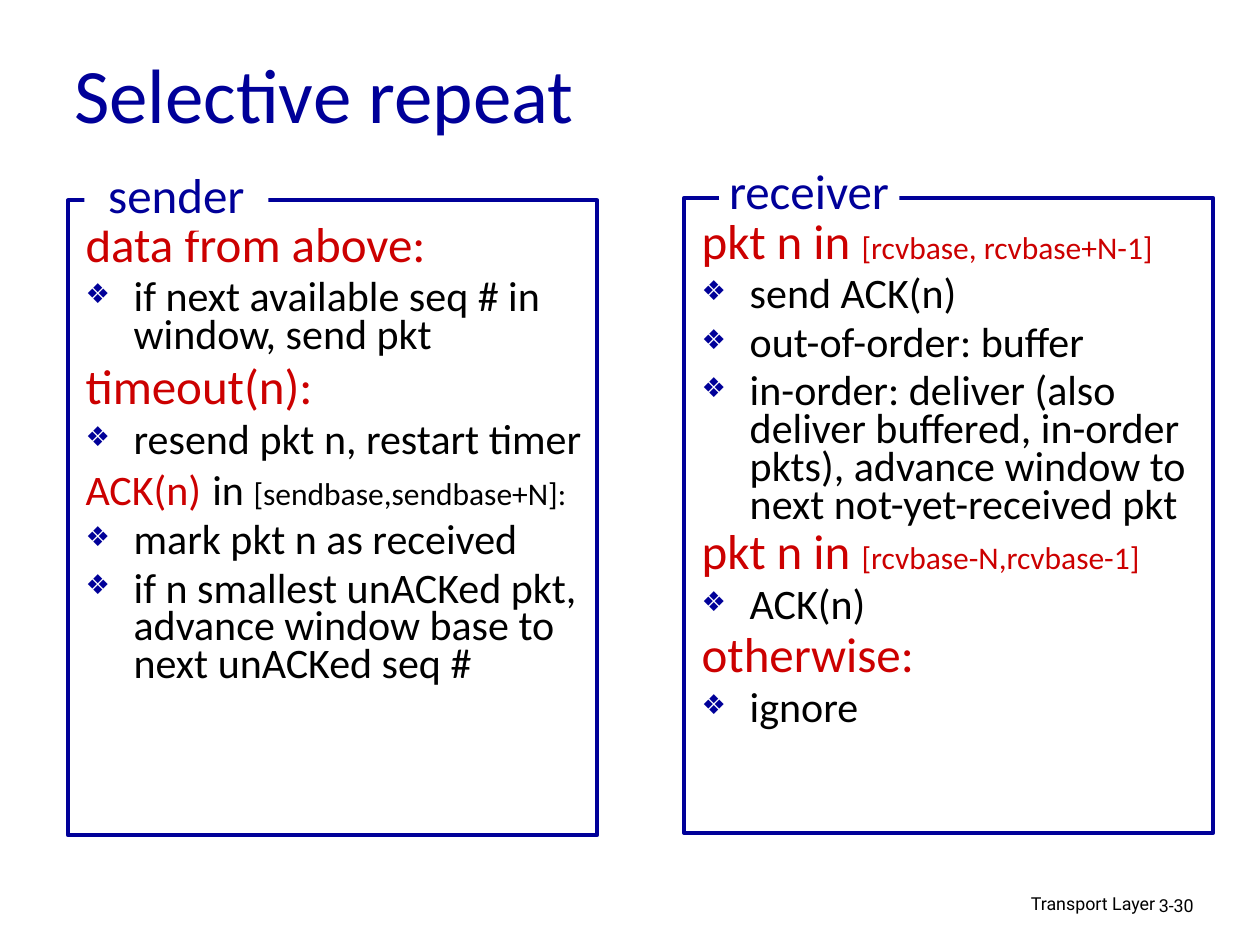
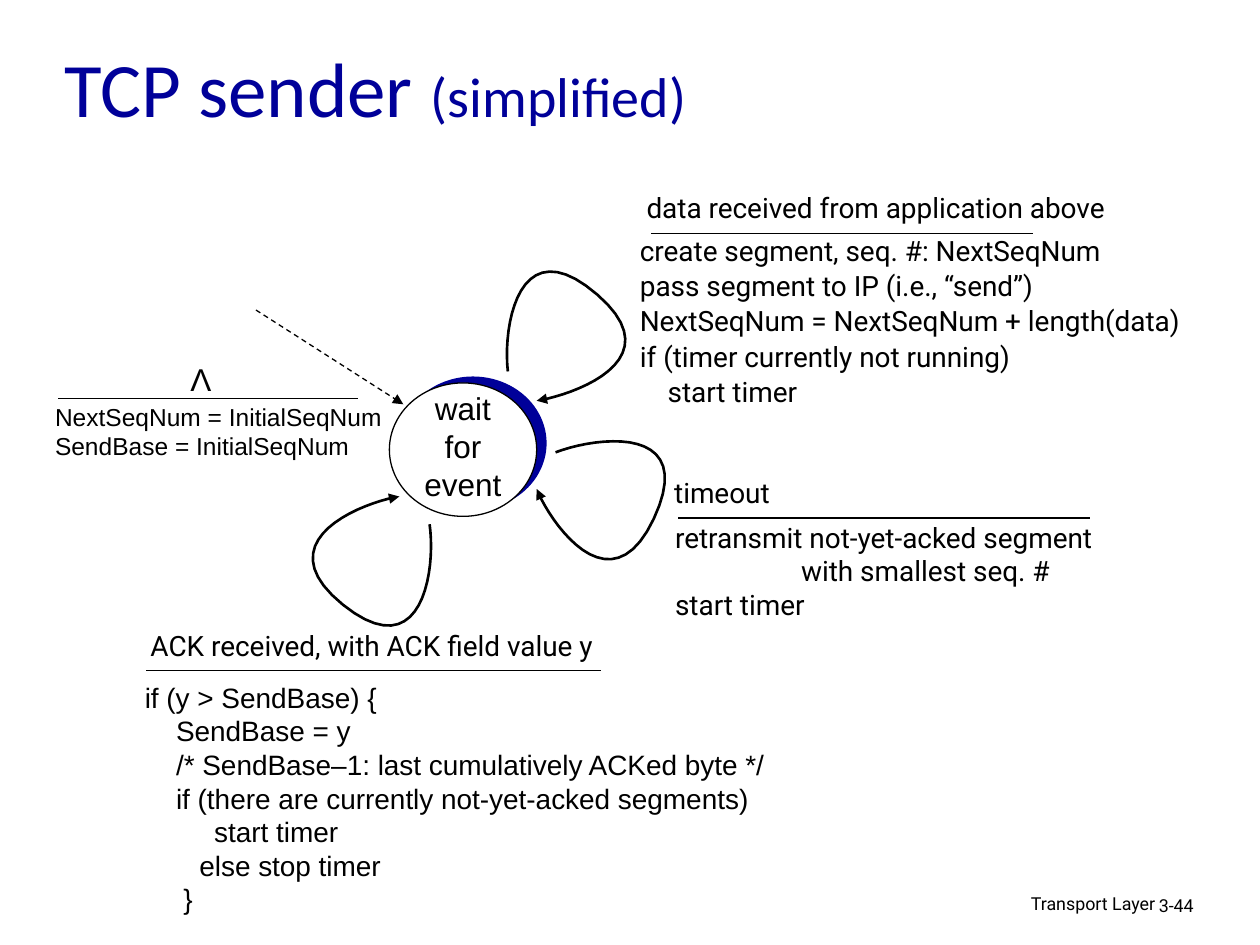
"""Build two transport-layer slides: selective repeat and the TCP sender state machine."""
from dataclasses import dataclass

from lxml import etree
from pptx import Presentation
from pptx.dml.color import RGBColor
from pptx.enum.dml import MSO_LINE
from pptx.enum.shapes import MSO_CONNECTOR, MSO_SHAPE
from pptx.enum.text import MSO_ANCHOR, MSO_AUTO_SIZE, PP_ALIGN
from pptx.oxml.ns import qn
from pptx.util import Cm, Pt

LEFT, CENTER, RIGHT = PP_ALIGN.LEFT, PP_ALIGN.CENTER, PP_ALIGN.RIGHT
MIDDLE = MSO_ANCHOR.MIDDLE
FIXED = MSO_AUTO_SIZE.NONE
RECTANGLE, OVAL = MSO_SHAPE.RECTANGLE, MSO_SHAPE.OVAL
STRAIGHT = MSO_CONNECTOR.STRAIGHT
DASH = MSO_LINE.DASH


@dataclass(frozen=True)
class Theme:
    blue: RGBColor = RGBColor(0x00, 0x00, 0x99)
    red: RGBColor = RGBColor(0xCC, 0x00, 0x00)
    black: RGBColor = RGBColor(0x00, 0x00, 0x00)
    white: RGBColor = RGBColor(0xFF, 0xFF, 0xFF)
    heading_font: str = "Calibri"
    label_font: str = "Roboto"
    code_font: str = "Arial"
    title: float = 44
    subtitle: float = 32
    heading: float = 28
    bullet: float = 24
    range: float = 18
    state: float = 18
    action: float = 16
    setup: float = 14
    footer: float = 10.2


theme = Theme()


def write(box, rows, font, size, color=theme.black, align=LEFT, spacing=1.0):
    """Fill a text frame with (indent, spans) rows; a span is (text, size, colour)."""
    frame = box.text_frame
    frame.word_wrap = True
    frame.auto_size = FIXED
    for number, (indent, spans) in enumerate(rows):
        para = frame.paragraphs[0] if number == 0 else frame.add_paragraph()
        para.alignment = align
        para.line_spacing = spacing
        para.font.name = font
        para.font.size = Pt(size)
        para.font.color.rgb = color
        if indent:
            para._p.get_or_add_pPr().set("marL", str(Cm(indent)))
        if isinstance(spans, str):
            spans = [(spans, size, color)]
        for text, span_size, span_color in spans:
            span = para.add_run()
            span.text = text
            if span_size != size:
                span.font.size = Pt(span_size)
            if span_color != color:
                span.font.color.rgb = span_color


def stroke(shape, color, width, dash=None, arrow=False):
    """Draw a shape's line without shadow, with an optional arrowhead at its end."""
    shape.line.color.rgb = color
    shape.line.width = Pt(width)
    if dash:
        shape.line.dash_style = dash
    properties = shape.element.spPr
    if arrow:
        etree.SubElement(properties.find(qn("a:ln")), qn("a:tailEnd"), type="triangle")
    etree.SubElement(properties, qn("a:effectLst"))


deck = Presentation()
deck.slide_width, deck.slide_height = Cm(25.4), Cm(19.05)
repeat_page = deck.slides.add_slide(deck.slide_layouts[3])
sender_page = deck.slides.add_slide(deck.slide_layouts[5])

pages = [
    (repeat_page, (1.24, 0.69, 21.59, 2.34), "3-30", "Selective repeat"),
    (sender_page, (1.04, 0.51, 21.49, 2.49), "3-44",
     [("TCP sender ", theme.title, theme.blue), ("(simplified)", theme.subtitle, theme.blue)]),
]
for page, place, page_number, title_spans in pages:
    title = page.shapes.title
    title.left, title.top, title.width, title.height = map(Cm, place)
    title.text_frame.vertical_anchor = MIDDLE
    write(title, [(0, title_spans)], theme.heading_font, theme.title, theme.blue)
    footer = page.shapes.add_textbox(Cm(15.49), Cm(17.91), Cm(8.05), Cm(0.79))
    write(footer, [(0, "Transport Layer")], theme.label_font, theme.footer, align=RIGHT, spacing=0.9)
    number_box = page.shapes.add_textbox(Cm(23.11), Cm(17.96), Cm(1.88), Cm(0.76))
    write(number_box, [(0, page_number)], theme.label_font, theme.footer, spacing=0.9)

sender_rules = [
    ("data from above:", 7),
    "if next available seq # in window, send pkt",
    ("timeout(n):", 7),
    "resend pkt n, restart timer",
    ([("ACK(n)", theme.bullet, theme.red), (" ", theme.heading, theme.red),
      ("in ", theme.bullet, theme.black),
      ("[sendbase,sendbase+N]:", theme.range, theme.black)], 4.5),
    "mark pkt n as received",
    "if n smallest unACKed pkt, advance window base to next unACKed seq #",
]
receiver_rules = [
    ([("pkt n in ", theme.heading, theme.red),
      ("[rcvbase, rcvbase+N-1]", theme.range, theme.red)], 4.5),
    "send ACK(n)",
    "out-of-order: buffer",
    "in-order: deliver (also deliver buffered, in-order pkts), "
    "advance window to next not-yet-received pkt",
    ([("pkt n in ", theme.heading, theme.red),
      ("[rcvbase-N,rcvbase-1]", theme.range, theme.red)], 4.5),
    "ACK(n)",
    ("otherwise:", 6),
    "ignore",
]
panels = [
    (1, "sender", sender_rules, (1.47, 4.45), (1.37, 4.04),
     (1.7, 3.2, 3.71, 1.45), (1.7, 3.2, 3.71, 1.45)),
    (2, "receiver", receiver_rules, (13.89, 4.39), (13.79, 3.99),
     (14.5, 3.61, 3.63, 0.79), (14.2, 3.12, 4.22, 1.45)),
]
for index, name, rules, body_corner, frame_corner, gap_place, label_place in panels:
    body = repeat_page.placeholders[index]
    body.left, body.top = map(Cm, body_corner)
    body.width, body.height = Cm(10.59), Cm(12.9)
    rows = []
    for rule in rules:
        if isinstance(rule, str):
            spans = [(rule, theme.bullet, theme.black)]
        elif isinstance(rule[0], str):
            spans = [(rule[0], theme.heading, theme.red)]
        else:
            spans = rule[0]
        rows.append((0.97, spans))
    write(body, rows, theme.heading_font, theme.bullet, spacing=0.75)
    for para, rule in zip(body.text_frame.paragraphs, rules):
        is_bullet = isinstance(rule, str)
        para.space_before = Pt(6 if is_bullet else rule[1])
        properties = para._p.get_or_add_pPr()
        properties.set("indent", str(-Cm(0.97)))
        defaults = properties.find(qn("a:defRPr"))
        if is_bullet:
            bullet_color = etree.Element(qn("a:buClr"))
            etree.SubElement(bullet_color, qn("a:srgbClr"), val=str(theme.blue))
            defaults.addprevious(bullet_color)
            defaults.addprevious(etree.Element(qn("a:buSzPct"), val="65000"))
            defaults.addprevious(etree.Element(qn("a:buChar"), char="❖"))
        else:
            defaults.addprevious(etree.Element(qn("a:buNone")))

    border = repeat_page.shapes.add_shape(RECTANGLE, *map(Cm, frame_corner), Cm(10.67), Cm(12.8))
    border.fill.background()
    stroke(border, theme.blue, 2.25)
    gap = repeat_page.shapes.add_shape(RECTANGLE, *map(Cm, gap_place))
    gap.shadow.inherit = False
    gap.fill.solid()
    gap.fill.fore_color.rgb = theme.white
    gap.line.fill.background()
    label = repeat_page.shapes.add_textbox(*map(Cm, label_place))
    write(label, [(0, name)], theme.heading_font, theme.heading, theme.blue, CENTER)

state_shade = sender_page.shapes.add_shape(OVAL, Cm(8.05), Cm(7.59), Cm(2.97), Cm(2.69))
state_shade.shadow.inherit = False
state_shade.fill.solid()
state_shade.fill.fore_color.rgb = theme.blue
state_shade.line.fill.background()
state = sender_page.shapes.add_shape(OVAL, Cm(7.85), Cm(7.72), Cm(2.97), Cm(2.69))
state.fill.solid()
state.fill.fore_color.rgb = theme.white
stroke(state, theme.black, 0.75)
state.text_frame.vertical_anchor = MIDDLE
state.text_frame.margin_top = 0
state.text_frame.margin_bottom = Cm(0.15)
write(state, [(0, word) for word in ("wait", "for", "event")],
      theme.code_font, theme.state, align=CENTER)

start_arrow = sender_page.shapes.add_connector(STRAIGHT, Cm(5.16), Cm(6.25), Cm(8.13), Cm(8.15))
stroke(start_arrow, theme.black, 0.75, DASH, arrow=True)
for left, right, height in [(1.17, 7.21, 8.03), (13.13, 20.83, 4.7),
                            (13.67, 21.97, 10.44), (2.95, 12.12, 13.51)]:
    divider = sender_page.shapes.add_connector(STRAIGHT, Cm(left), Cm(height), Cm(right), Cm(height))
    stroke(divider, theme.black, 0.75)

event_labels = [
    ((12.5, 3.71, 10.31, 0.94), "data received from application above"),
    ((13.26, 9.47, 2.59, 0.94), "timeout"),
    ((2.48, 12.55, 10.03, 0.94), "ACK received, with ACK field value y"),
]
for place, event in event_labels:
    box = sender_page.shapes.add_textbox(*map(Cm, place))
    write(box, [(0, event)], theme.label_font, theme.action, align=CENTER)

no_event = sender_page.shapes.add_textbox(Cm(3.45), Cm(7.14), Cm(1.2), Cm(1.02))
write(no_event, [(0, "Λ")], theme.code_font, theme.state, align=CENTER)

action_blocks = [
    ((0.86, 7.98, 8, 1.45), theme.code_font, theme.setup, 1.0, [
        (0, "NextSeqNum = InitialSeqNum"),
        (0, "SendBase = InitialSeqNum")]),
    ((12.65, 4.55, 12.14, 4.2), theme.label_font, theme.action, 1.05, [
        (0, "create segment, seq. #: NextSeqNum"),
        (0, "pass segment to IP (i.e., “send”)"),
        (0, "NextSeqNum = NextSeqNum + length(data)"),
        (0, "if (timer currently not running)"),
        (0.56, "start timer")]),
    ((13.36, 10.36, 9.14, 2.97), theme.label_font, theme.action, 1.0, [
        (0, "retransmit not-yet-acked segment"),
        (2.54, "with smallest seq. #"),
        (0, "start timer")]),
    ((2.67, 13.59, 14, 5), theme.code_font, theme.action, 1.0, [
        (0, "if (y > SendBase) {"),
        (0.63, "SendBase = y"),
        (0.63, "/* SendBase–1: last cumulatively ACKed byte */"),
        (0.63, "if (there are currently not-yet-acked segments)"),
        (1.4, "start timer"),
        (1.1, "else stop timer"),
        (0.78, "}")]),
]
for place, font, size, spacing, rows in action_blocks:
    box = sender_page.shapes.add_textbox(*map(Cm, place))
    write(box, rows, font, size, spacing=spacing)

event_loops = [
    [(10.24, 7.49), (10.13, 6.58), (10.46, 4.57), (12.04, 5.94),
     (13.61, 7.29), (11.48, 7.98), (10.82, 8.08)],
    [(11.2, 9.12), (12.07, 8.79), (14.07, 8.56), (13.18, 10.46),
     (12.29, 12.34), (11.05, 10.46), (10.82, 9.86)],
    [(8.66, 10.57), (8.79, 11.46), (8.53, 13.49), (6.91, 12.19),
     (5.28, 10.87), (7.39, 10.11), (8.05, 10.01)],
]
STEPS = 20
for controls in event_loops:
    points = []
    for first in (0, 3):
        for step in range(1, STEPS + 1):
            t = step / STEPS
            weights = ((1 - t) ** 3, 3 * t * (1 - t) ** 2, 3 * t ** 2 * (1 - t), t ** 3)
            curve = controls[first:first + 4]
            points.append([Cm(sum(weight * point[axis] for weight, point in zip(weights, curve)))
                           for axis in (0, 1)])
    outline = sender_page.shapes.build_freeform(Cm(controls[0][0]), Cm(controls[0][1]))
    outline.add_line_segments(points, close=False)
    loop = outline.convert_to_shape()
    loop.fill.background()
    stroke(loop, theme.black, 1.5, arrow=True)

deck.save("out.pptx")
